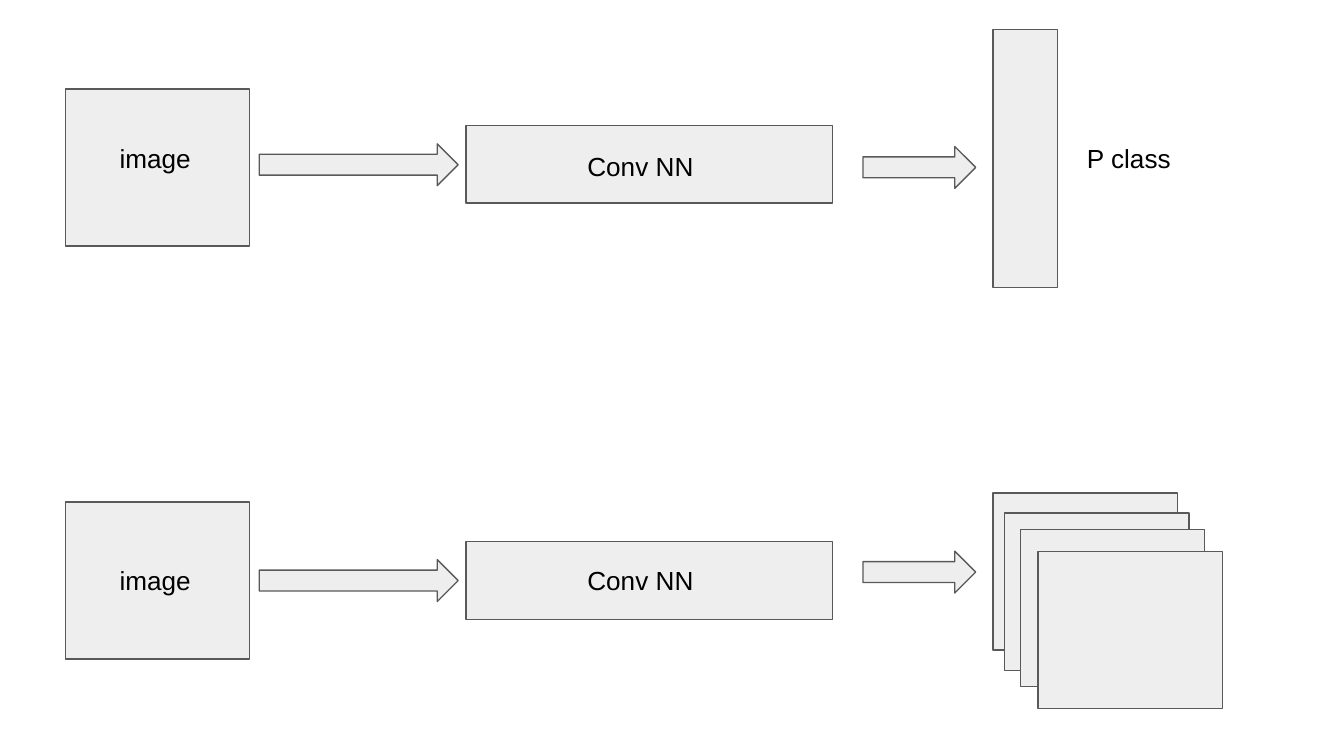
import pptx
import pptx.dml.color
import pptx.enum.shapes
import pptx.enum.text
import pptx.util

Cm = pptx.util.Cm
SHAPES = pptx.enum.shapes.MSO_SHAPE
IMAGE_SIZE = (3.48, 2.97)
OUTPUT_LEFT = 18.77


def color(value):
    return pptx.dml.color.RGBColor.from_string(value)


def add_figure(page, kind, left, top, width, height):
    """Add a grey preset shape with a thin dark outline."""
    shape = page.shapes.add_shape(kind, Cm(left), Cm(top), Cm(width), Cm(height))
    shape.shadow.inherit = False
    shape.fill.solid()
    shape.fill.fore_color.rgb = color("EEEEEE")
    shape.line.color.rgb = color("595959")
    shape.line.width = pptx.util.Pt(0.75)


def add_block(page, left, top, width, height):
    add_figure(page, SHAPES.RECTANGLE, left, top, width, height)


def add_arrow(page, left, top, width):
    add_figure(page, SHAPES.RIGHT_ARROW, left, top, width, 0.79)


def add_label(page, text, left, top, width):
    box = page.shapes.add_textbox(Cm(left), Cm(top), Cm(width), Cm(1.12))
    frame = box.text_frame
    frame.word_wrap = True
    frame.auto_size = pptx.enum.text.MSO_AUTO_SIZE.SHAPE_TO_FIT_TEXT
    frame.margin_left = frame.margin_right = Cm(0.25)
    frame.margin_top = frame.margin_bottom = Cm(0.25)
    frame.text = text
    font = frame.paragraphs[0].runs[0].font
    font.name = "Arial"
    font.size = pptx.util.Pt(14)
    font.color.rgb = color("000000")


def add_pipeline(page, image, image_label, arrow_in, network, network_label, arrow_out):
    """Add image, network and arrows, given the top of each."""
    add_block(page, 1.24, image, *IMAGE_SIZE)
    add_label(page, "image", 2.01, image_label, 2.69)
    add_arrow(page, 4.9, arrow_in, 3.76)
    add_block(page, 8.81, network, 6.93, 1.47)
    add_label(page, "Conv NN", 10.85, network_label, 5.82)
    add_arrow(page, 16.31, arrow_out, 2.13)


def add_class_vector(page):
    add_block(page, OUTPUT_LEFT, 0.56, 1.22, 4.88)
    add_label(page, "P class", 20.29, 2.44, 3.48)


def add_map_stack(page):
    for shift, top in ((0, 9.32), (0.22, 9.7), (0.52, 10.01), (0.85, 10.42)):
        add_block(page, OUTPUT_LEFT + shift, top, *IMAGE_SIZE)


def main():
    deck = pptx.Presentation()
    deck.slide_width = Cm(25.4)
    deck.slide_height = Cm(14.29)
    page = deck.slides.add_slide(deck.slide_layouts[6])

    add_pipeline(page, image=1.68, image_label=2.44, arrow_in=2.72,
                 network=2.37, network_label=2.6, arrow_out=2.77)
    add_class_vector(page)

    add_pipeline(page, image=9.49, image_label=10.41, arrow_in=10.58,
                 network=10.24, network_label=10.41, arrow_out=10.42)
    add_map_stack(page)

    deck.save("out.pptx")


if __name__ == "__main__":
    main()
